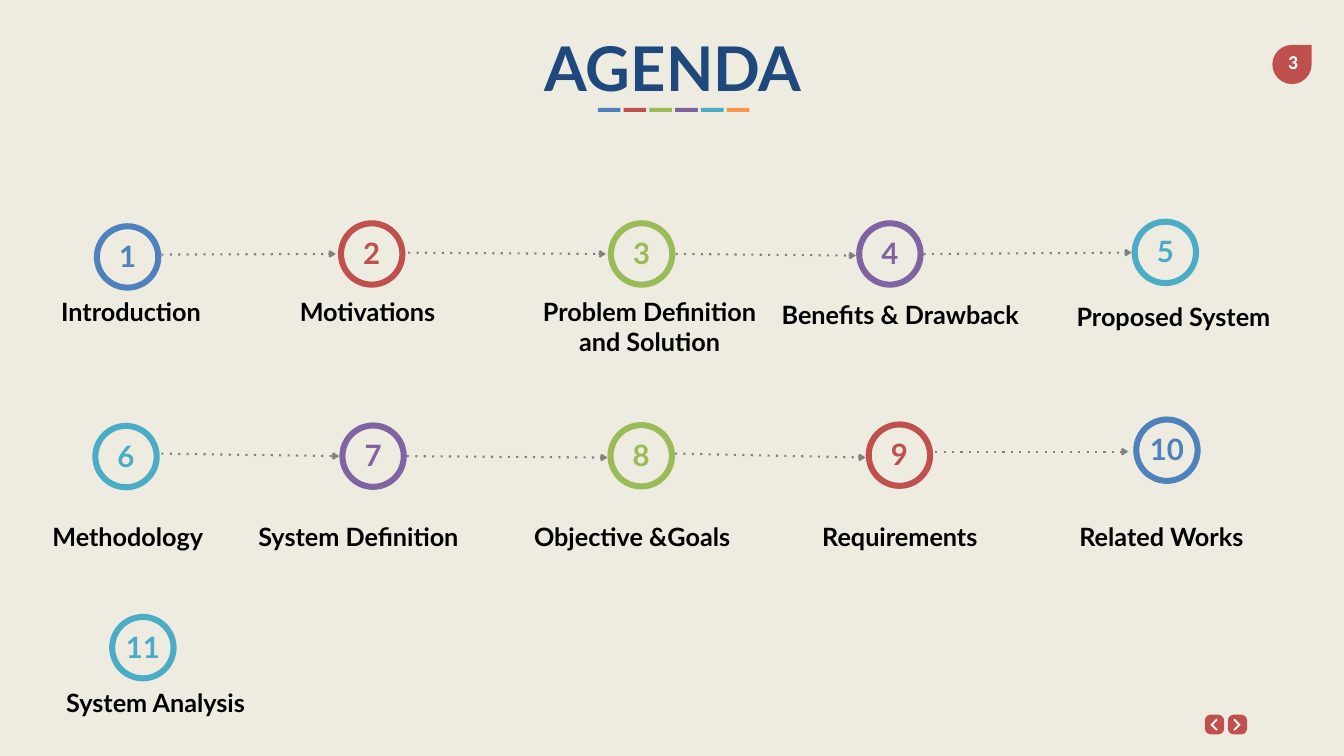
import pptx
import pptx.util
import pptx.dml.color
import pptx.enum.shapes
import pptx.enum.text
import pptx.oxml
import pptx.oxml.ns

Cm, Pt = pptx.util.Cm, pptx.util.Pt
SHAPE = pptx.enum.shapes.MSO_SHAPE
BLUE, RED, GREEN = "4F81BD", "C0504D", "9BBB59"
PURPLE, TEAL, ORANGE = "8064A2", "4BACC6", "F79646"
RING = 3.4

# number, colour, ring centre x and y, label, label centre x, top, width
TOPICS = [
    (1, BLUE, 6.43, 12.95, "Introduction", 6.6, 14.66, 9.96),
    (2, RED, 18.73, 12.8, "Motivations", 18.52, 14.66, 9.55),
    (3, GREEN, 32.33, 12.8, "Problem Definition\nand Solution", 32.73, 14.66, 20.55),
    (4, PURPLE, 44.84, 12.8, "Benefits & Drawback", 45.36, 14.81, 14),
    (5, TEAL, 58.72, 12.72, "Proposed System", 59.13, 14.94, 13.16),
    (6, TEAL, 6.35, 23.01, "Methodology", 6.44, 26.01, 11.86),
    (7, PURPLE, 18.8, 22.99, "System Definition", 18.06, 26.01, 11.84),
    (8, GREEN, 32.31, 22.97, "Objective &Goals", 31.85, 26.01, 13.82),
    (9, RED, 45.32, 22.94, "Requirements", 45.34, 26.01, 9.91),
    (10, BLUE, 58.8, 22.69, "Related Works", 58.52, 26.01, 14.33),
    (11, TEAL, 7.2, 32.64, "System Analysis", 7.84, 34.37, 14.25),
]
ARROWS = [
    (8.13, 12.83, 16.92, 12.8),
    (20.14, 12.73, 30.53, 12.8),
    (34.04, 12.8, 43.13, 12.88),
    (46.53, 12.8, 57.02, 12.73),
    (8.13, 22.86, 17.09, 22.99),
    (20.5, 22.99, 30.61, 23.06),
    (34.01, 22.86, 43.61, 23.06),
    (47.12, 22.76, 56.85, 22.76),
]
CHEVRON = [(0.31, 0), (0.36, 0.07), (0.13, 0.31), (0.36, 0.54), (0.31, 0.61), (0, 0.31)]


def rgb(value):
    return pptx.dml.color.RGBColor.from_string(value)


def paint(sp, color):
    sp.shadow.inherit = False
    sp.fill.solid()
    sp.fill.fore_color.rgb = rgb(color)
    sp.line.fill.background()


def add_shape(s, kind, left, top, width, height, color):
    sp = s.shapes.add_shape(kind, Cm(left), Cm(top), Cm(width), Cm(height))
    paint(sp, color)
    return sp


def write(tf, text, size, color, font="Lato"):
    tf.text = text
    tf.word_wrap = True
    for p in tf.paragraphs:
        p.alignment = pptx.enum.text.PP_ALIGN.CENTER
        p.font.name = font
        p.font.size = Pt(size)
        p.font.bold = True
        p.font.color.rgb = rgb(color)


def add_text(s, center, top, width, height, text, size, color, font="Lato"):
    box = s.shapes.add_textbox(Cm(center - width / 2), Cm(top), Cm(width), Cm(height))
    tf = box.text_frame
    tf.margin_left = tf.margin_right = Cm(0.51)
    tf.margin_top = tf.margin_bottom = Cm(0.25)
    write(tf, text, size, color, font)


def add_title(s):
    title = s.shapes.title
    title.left, title.top = Cm(4.83), Cm(1.35)
    title.width, title.height = Cm(58.17), Cm(4.01)
    write(title.text_frame, "AGENDA", 88, "1F497D")
    for i, color in enumerate([BLUE, RED, GREEN, PURPLE, TEAL, ORANGE]):
        add_shape(s, SHAPE.RECTANGLE, 30.12 + 1.3 * i, 5.44, 1.14, 0.2, color)


def add_topic(s, number, color, x, y, label, label_x, label_top, width):
    ring = add_shape(s, SHAPE.DONUT, x - RING / 2, y - RING / 2, RING, RING, color)
    ring.adjustments[0] = 0.09
    add_text(s, x, y - 1.2, 2.9, 2.31, str(number), 42, color)
    height = 2.06 + 1.52 * label.count("\n")
    add_text(s, label_x, label_top, width, height, label, 36, "000000")


def add_arrow(s, x1, y1, x2, y2):
    line = s.shapes.add_connector(
        pptx.enum.shapes.MSO_CONNECTOR.STRAIGHT, Cm(x1), Cm(y1), Cm(x2), Cm(y2))
    line.line.color.rgb = rgb("808080")
    line.line.width = Pt(3)
    ln = line.line._get_or_add_ln()
    for tag, value in (("prstDash", {"val": "dot"}), ("tailEnd", {"type": "arrow"})):
        el = pptx.oxml.parse_xml(f'<a:{tag} {pptx.oxml.ns.nsdecls("a")}/>')
        for name, setting in value.items():
            el.set(name, setting)
        ln.append(el)
    line._element.spPr.append(
        pptx.oxml.parse_xml(f'<a:effectLst {pptx.oxml.ns.nsdecls("a")}/>'))


def add_button(s, left, mirrored):
    button = add_shape(s, SHAPE.ROUNDED_RECTANGLE, left, 36.02, 0.97, 0.99, RED)
    button.adjustments[0] = 0.3
    points = [(Cm(left + 0.28 + (0.36 - x if mirrored else x)), Cm(36.22 + y))
              for x, y in CHEVRON]
    builder = s.shapes.build_freeform(*points[0])
    builder.add_line_segments(points[1:], close=True)
    paint(builder.convert_to_shape(), "FFFFFF")


def main():
    prs = pptx.Presentation()
    prs.slide_width, prs.slide_height = Cm(67.72), Cm(38.1)
    s = prs.slides.add_slide(prs.slide_layouts[5])
    s.background.fill.solid()
    s.background.fill.fore_color.rgb = rgb("EEECE1")
    add_button(s, 60.71, False)
    add_button(s, 61.87, True)
    add_shape(s, SHAPE.TEAR, 64.11, 2.26, 1.98, 1.98, RED)
    add_text(s, 65.16, 2.29, 2.21, 1.7, "3", 28, "FFFFFF", "Calibri")
    add_title(s)
    for topic in TOPICS:
        add_topic(s, *topic)
    for arrow in ARROWS:
        add_arrow(s, *arrow)
    prs.save("out.pptx")


if __name__ == "__main__":
    main()
